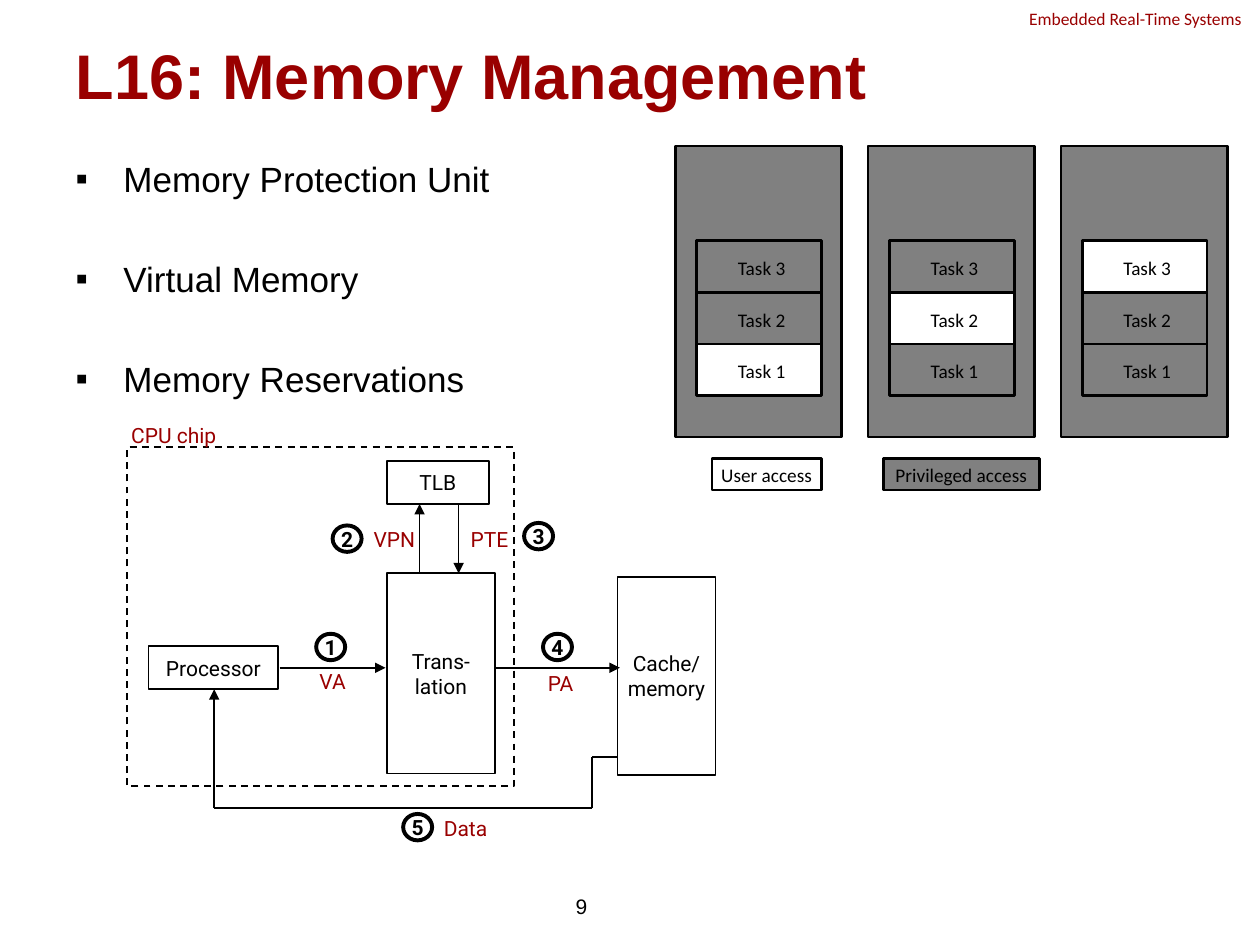
from typing import NamedTuple, Optional

from pptx import Presentation
from pptx.dml.color import RGBColor
from pptx.enum.dml import MSO_LINE
from pptx.enum.shapes import MSO_CONNECTOR, MSO_SHAPE
from pptx.enum.text import MSO_ANCHOR, MSO_AUTO_SIZE, PP_ALIGN
from pptx.oxml.ns import qn
from pptx.util import Inches, Pt

BLACK, WHITE, GRAY, RED = "000000", "FFFFFF", "808080", "990000"


class Box(NamedTuple):
    x: float
    y: float
    w: float
    h: float
    text: str = ""
    fill: Optional[str] = None
    line: Optional[float] = 1
    font: str = "Roboto"
    size: float = 12
    color: str = BLACK
    bold: bool = False
    shape: MSO_SHAPE = MSO_SHAPE.RECTANGLE
    dashed: bool = False


class Label(NamedTuple):
    text: str
    x: float
    y: float
    w: float
    h: float = 0.3


class Arrow(NamedTuple):
    x1: float
    y1: float
    x2: float
    y2: float
    head: bool = True


def rgb(color: str) -> RGBColor:
    return RGBColor.from_string(color)


def add_run(p, text: str, font: str, size: float, color: str, bold: bool = False) -> None:
    r = p.add_run()
    r.text = text
    r.font.name, r.font.size, r.font.bold = font, Pt(size), bold
    r.font.color.rgb = rgb(color)


def place(sp, x: float, y: float, w: float, h: float) -> None:
    sp.left, sp.top, sp.width, sp.height = map(Inches, (x, y, w, h))


def write_lines(tf, text: str, font: str, size: float, color: str,
                bold: bool = False, align=PP_ALIGN.CENTER) -> None:
    tf.vertical_anchor = MSO_ANCHOR.MIDDLE
    for i, line in enumerate(text.split("\n")):
        p = tf.paragraphs[0] if i == 0 else tf.add_paragraph()
        p.alignment = align
        add_run(p, line, font, size, color, bold)


def draw_box(s, b: Box) -> None:
    sp = s.shapes.add_shape(b.shape, *map(Inches, (b.x, b.y, b.w, b.h)))
    sp.shadow.inherit = False
    if b.fill:
        sp.fill.solid()
        sp.fill.fore_color.rgb = rgb(b.fill)
    else:
        sp.fill.background()
    sp.line.color.rgb = rgb(BLACK)
    sp.line.width = Pt(b.line)
    if b.dashed:
        sp.line.dash_style = MSO_LINE.DASH
    if b.text:
        sp.text_frame.word_wrap = False
        write_lines(sp.text_frame, b.text, b.font, b.size, b.color, b.bold)


def draw_label(s, b: Label, font: str, size: float, color: str,
               align=PP_ALIGN.CENTER) -> None:
    tf = s.shapes.add_textbox(*map(Inches, (b.x, b.y, b.w, b.h))).text_frame
    tf.word_wrap = True
    tf.margin_top = tf.margin_bottom = 0
    if align == PP_ALIGN.CENTER:
        tf.margin_left = tf.margin_right = 0
    write_lines(tf, b.text, font, size, color, align=align)


def draw_arrow(s, a: Arrow) -> None:
    c = s.shapes.add_connector(MSO_CONNECTOR.STRAIGHT,
                               *map(Inches, (a.x1, a.y1, a.x2, a.y2)))
    c.line.color.rgb = rgb(BLACK)
    c.line.width = Pt(1)
    if a.head:
        ln = c.line._get_or_add_ln()
        ln.append(ln.makeelement(qn("a:tailEnd"), {"type": "triangle"}))
    spPr = c._element.spPr
    spPr.append(spPr.makeelement(qn("a:effectLst"), {}))


def draw_memory_map(s, x: float, active: int) -> None:
    """Memory column in which only the active task is open to user access."""
    draw_box(s, Box(x, 1.16, 1.32, 2.31, fill=GRAY, line=1.5))
    for task in (1, 2, 3):
        y = 2.73 - (task - 1) * 0.41
        draw_box(s, Box(x + 0.17, y, 0.99, 0.41,
                        fill=WHITE if task == active else GRAY, line=1.5))
        draw_label(s, Label(f"Task {task}", x + 0.39, y + 0.07, 0.59, 0.29),
                   "Calibri", 11, BLACK)


def add_bullets(sp, items: list[str]) -> None:
    tf = sp.text_frame
    tf.auto_size = MSO_AUTO_SIZE.NONE
    for i, item in enumerate(items):
        p = tf.paragraphs[0] if i == 0 else tf.add_paragraph()
        pPr = p._p.get_or_add_pPr()
        pPr.set("marL", str(Inches(0.38)))
        pPr.set("indent", str(-Inches(0.38)))
        pPr.append(pPr.makeelement(qn("a:buFont"), {"typeface": "Arial"}))
        pPr.append(pPr.makeelement(qn("a:buChar"), {"char": "▪"}))
        p.space_before = Pt(33 if i else 0)
        add_run(p, item, "Arial", 20, BLACK)


PROCESSOR = Box(1.18, 5.13, 1.03, 0.34, "Processor")
CHIP_BOXES = [
    Box(1.01, 3.55, 3.07, 2.69, dashed=True),
    PROCESSOR,
    Box(3.07, 4.55, 0.86, 1.59, "Trans-\nlation"),
    Box(4.9, 4.58, 0.78, 1.57, "Cache/\nmemory"),
    Box(3.07, 3.66, 0.81, 0.34, "TLB"),
]
ARROWS = [
    Arrow(2.22, 5.3, 3.06, 5.3),
    Arrow(3.94, 5.3, 4.92, 5.3),
    Arrow(3.33, 4.55, 3.33, 4),
    Arrow(3.64, 4, 3.64, 4.55),
    Arrow(4.9, 6.01, 4.7, 6.01, head=False),
    Arrow(4.7, 6.01, 4.7, 6.41, head=False),
    Arrow(4.7, 6.41, 1.7, 6.41, head=False),
    Arrow(1.7, 6.41, 1.7, 5.47),
]
SIGNALS = [
    Label("CPU chip", 0.93, 3.3, 0.9),
    Label("VPN", 2.86, 4.13, 0.54),
    Label("PTE", 3.62, 4.13, 0.53),
    Label("VA", 2.46, 5.29, 0.36, 0.23),
    Label("PA", 4.27, 5.31, 0.36, 0.23),
    Label("Data", 3.42, 6.42, 0.55),
]
STEPS = [(2.51, 5.03), (2.64, 4.17), (4.16, 4.15), (4.31, 5.03), (3.2, 6.46)]


def main() -> None:
    prs = Presentation()
    prs.slide_width, prs.slide_height = Inches(10), Inches(7.5)
    s = prs.slides.add_slide(prs.slide_layouts[1])

    title, body = s.placeholders
    place(title, 0.5, 0.3, 9, 0.58)
    title.text_frame.auto_size = MSO_AUTO_SIZE.NONE
    write_lines(title.text_frame, "L16: Memory Management", "Arial", 36, RED,
                bold=True, align=PP_ALIGN.LEFT)
    place(body, 0.5, 1.2, 4.7, 2.1)
    add_bullets(body, ["Memory Protection Unit", "Virtual Memory", "Memory Reservations"])

    draw_label(s, Label("Embedded Real-Time Systems", 8.07, 0.01, 1.93, 0.27),
               "Calibri", 10, RED, PP_ALIGN.LEFT)
    draw_label(s, Label("9", 2.43, 6.99, 2.33, 0.4), "Arial", 12, BLACK, PP_ALIGN.RIGHT)

    for i in range(3):
        draw_memory_map(s, 5.36 + i * 1.53, active=i + 1)
    for x, w, text, fill in [(5.65, 0.87, "User access", WHITE),
                             (7.01, 1.24, "Privileged access", GRAY)]:
        draw_box(s, Box(x, 3.64, w, 0.25, text, fill, 1.5, "Calibri", 11))

    for box in CHIP_BOXES:
        draw_box(s, box)
    for arrow in ARROWS:
        draw_arrow(s, arrow)
    for signal in SIGNALS:
        draw_label(s, signal, "Roboto", 12, RED)
    for number, (x, y) in enumerate(STEPS, 1):
        draw_box(s, Box(x, y, 0.23, 0.21, str(number), line=2.25, bold=True,
                        shape=MSO_SHAPE.OVAL))

    prs.save("out.pptx")


if __name__ == "__main__":
    main()
